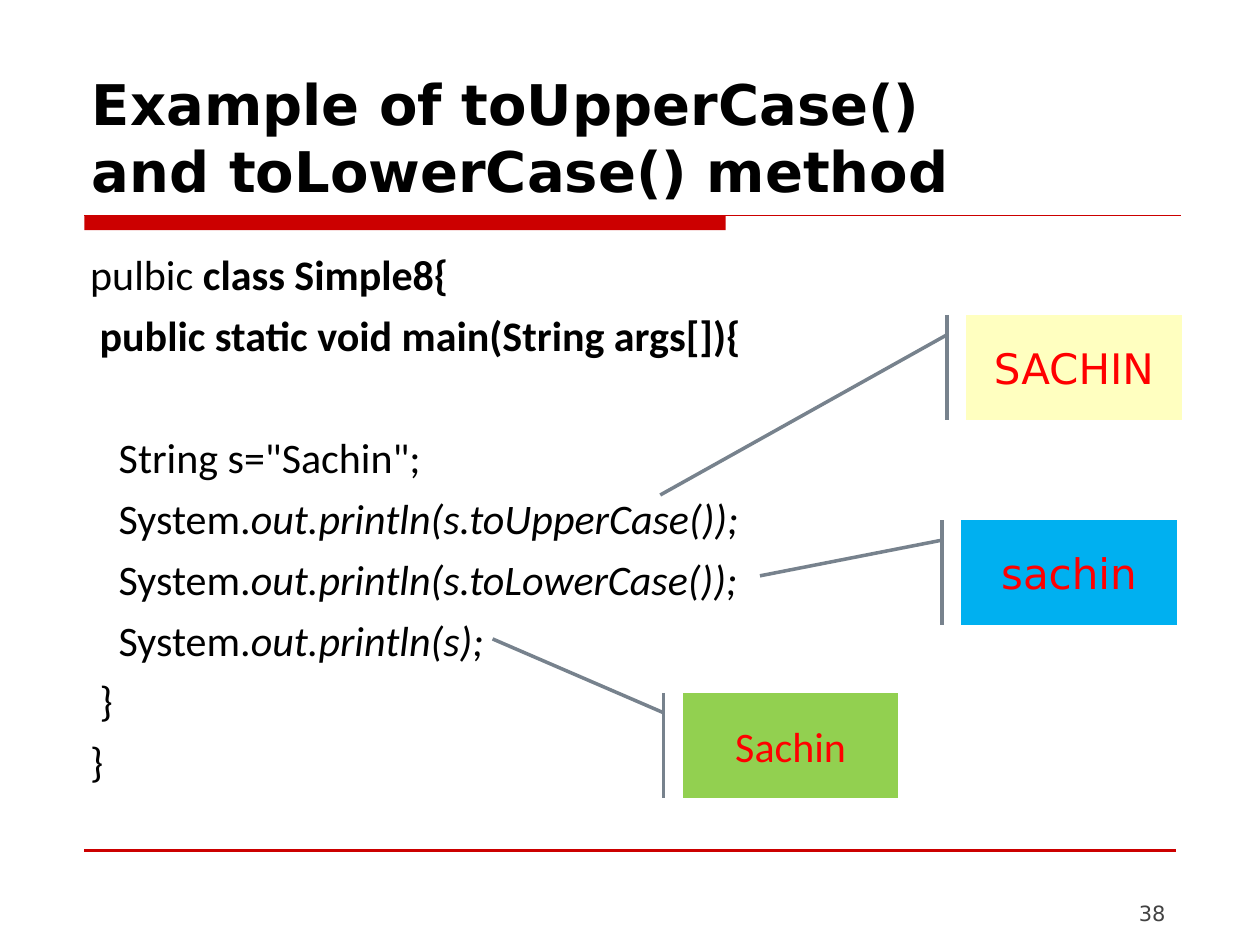
import pptx
import pptx.util
import pptx.dml.color
import pptx.enum.shapes
import pptx.enum.text
from dataclasses import dataclass
from lxml import etree
from pptx.oxml.ns import qn

Cm = pptx.util.Cm
Pt = pptx.util.Pt
Kind = pptx.enum.shapes.MSO_SHAPE
Anchor = pptx.enum.text.MSO_ANCHOR
Align = pptx.enum.text.PP_ALIGN


@dataclass(frozen=True)
class Theme:
    red: str = "CC0000"
    black: str = "000000"
    gray: str = "424242"
    lead: str = "77828D"
    note: str = "FF0000"
    yellow: str = "FFFFC0"
    blue: str = "00B0F0"
    green: str = "92D050"
    sans: str = "DejaVu Sans"
    body: str = "Calibri"
    head: int = 32
    text: int = 24
    small: int = 12


THEME = Theme()

# Each line of code: plain part, styled part, style, space before in points
CODE = [
    ("pulbic ", "class Simple8{", "bold", 0),
    (" ", "public static void main(String args[]){", "bold", 6),
    ('   String s="Sachin";', "", "", 41),
    ("   System.", "out.println(s.toUpperCase());", "italic", 6),
    ("   System.", "out.println(s.toLowerCase());", "italic", 6),
    ("   System.", "out.println(s);", "italic", 6),
    (" }", "", "", 6),
    ("}", "", "", 6),
]

# Each callout: text, font, fill, left, top, tip x, tip y (cm)
NOTES = [
    ("SACHIN", THEME.sans, THEME.yellow, 19.48, 6.35, 13.31, 9.98),
    ("sachin", THEME.sans, THEME.blue, 19.38, 10.49, 15.32, 11.61),
    ("Sachin", THEME.body, THEME.green, 13.77, 13.97, 9.93, 12.88),
]


def rgb(code):
    return pptx.dml.color.RGBColor.from_string(code)


def style(para, name, size, color, bold=None):
    font = para.font
    font.name, font.size, font.bold = name, Pt(size), bold
    font.color.rgb = rgb(color)


def add_box(slide, left, top, width, height):
    frame = slide.shapes.add_textbox(
        Cm(left), Cm(top), Cm(width), Cm(height)).text_frame
    frame.word_wrap = True
    return frame


def add_title(slide, text):
    title = slide.shapes.title
    title.left, title.top = Cm(1.6), Cm(0.85)
    title.width, title.height = Cm(22.22), Cm(3.38)
    frame = title.text_frame
    frame.text = text
    frame.auto_size = pptx.enum.text.MSO_AUTO_SIZE.NONE
    frame.vertical_anchor = Anchor.BOTTOM
    para = frame.paragraphs[0]
    para.alignment = Align.LEFT
    style(para, THEME.sans, THEME.head, THEME.black, True)


def add_line(slide, left, right, y, width):
    line = slide.shapes.add_connector(
        pptx.enum.shapes.MSO_CONNECTOR.STRAIGHT,
        Cm(left), Cm(y), Cm(right), Cm(y))
    line.line.color.rgb = rgb(THEME.red)
    line.line.width = Pt(width)
    etree.SubElement(line._element.spPr, qn("a:effectLst"))


def add_bar(slide, left, top, width, height):
    bar = slide.shapes.add_shape(
        Kind.RECTANGLE, Cm(left), Cm(top), Cm(width), Cm(height))
    bar.shadow.inherit = False
    bar.fill.solid()
    bar.fill.fore_color.rgb = rgb(THEME.red)
    bar.line.fill.background()


def add_code(slide, lines):
    frame = add_box(slide, 1.57, 4.88, 22.22, 11.86)
    for i, (plain, rest, look, gap) in enumerate(lines):
        para = frame.add_paragraph() if i else frame.paragraphs[0]
        para.space_before = Pt(gap)
        style(para, THEME.body, THEME.text, THEME.black)
        para.add_run().text = plain
        if rest:
            run = para.add_run()
            run.text = rest
            run.font.bold = look == "bold"
            run.font.italic = look == "italic"


def add_note(slide, text, name, fill, left, top, tip_x, tip_y):
    width, height = 4.34, 2.11
    note = slide.shapes.add_shape(
        Kind.LINE_CALLOUT_1_ACCENT_BAR,
        Cm(left), Cm(top), Cm(width), Cm(height))
    note.shadow.inherit = False
    # Bar end and tip as shares of the box: y, x, y, x
    spots = (0.19, -0.09, (tip_y - top) / height, (tip_x - left) / width)
    for i, spot in enumerate(spots):
        note.adjustments[i] = spot
    note.fill.solid()
    note.fill.fore_color.rgb = rgb(fill)
    note.line.color.rgb = rgb(THEME.lead)
    note.line.width = Pt(2)
    frame = note.text_frame
    frame.text = text
    frame.vertical_anchor = Anchor.MIDDLE
    para = frame.paragraphs[0]
    para.alignment = Align.CENTER
    style(para, name, THEME.text, THEME.note)


def add_page(slide, number):
    frame = add_box(slide, 22.96, 17.65, 2.11, 1.02)
    frame.margin_left = frame.margin_right = 0
    frame.margin_top = frame.margin_bottom = 0
    frame.vertical_anchor = Anchor.BOTTOM
    frame.text = number
    style(frame.paragraphs[0], THEME.sans, THEME.small, THEME.gray)


def main():
    deck = pptx.Presentation()
    deck.slide_width, deck.slide_height = Cm(25.4), Cm(19.05)
    slide = deck.slides.add_slide(deck.slide_layouts[5])

    # Rules and page number
    add_bar(slide, 1.7, 4.34, 12.93, 0.3)
    add_line(slide, 1.7, 23.8, 4.34, 0.75)
    add_line(slide, 1.7, 23.7, 17.15, 2)
    add_page(slide, "38")

    # Title and code
    add_title(slide, "Example of toUpperCase() \vand toLowerCase() method")
    add_code(slide, CODE)

    # Output callouts
    for note in NOTES:
        add_note(slide, *note)

    deck.save("out.pptx")


if __name__ == "__main__":
    main()
